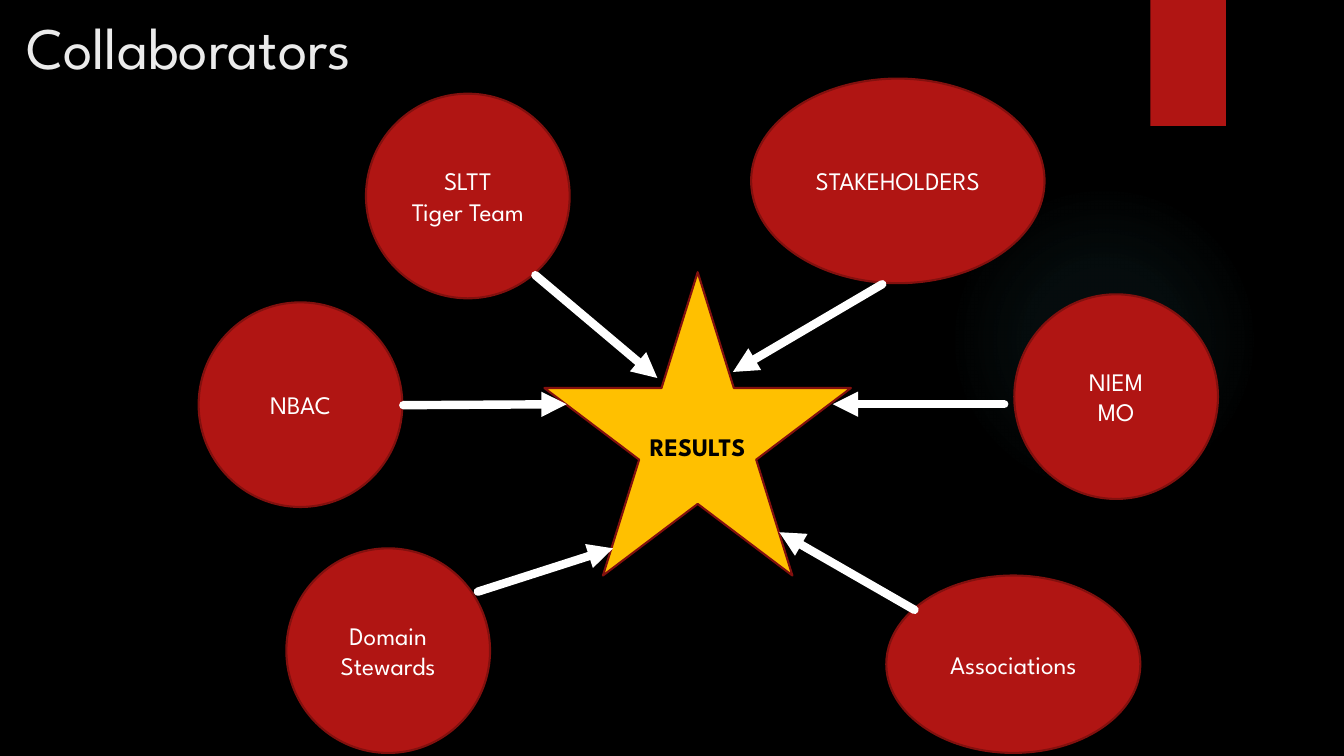
import pptx
import pptx.util
import pptx.dml.color
import pptx.enum.shapes
import pptx.enum.text
import pptx.oxml
import pptx.oxml.ns

Inches = pptx.util.Inches
Pt = pptx.util.Pt
RGBColor = pptx.dml.color.RGBColor
Kind = pptx.enum.shapes.MSO_SHAPE
Align = pptx.enum.text.PP_ALIGN
Anchor = pptx.enum.text.MSO_ANCHOR

BLACK = RGBColor(0x00, 0x00, 0x00)
WHITE = RGBColor(0xFF, 0xFF, 0xFF)
PALE = RGBColor(0xEB, 0xEB, 0xEB)
RED = RGBColor(0xB0, 0x15, 0x13)
DARK = RGBColor(0x82, 0x10, 0x0E)
GOLD = RGBColor(0xFF, 0xC0, 0x00)
TEAL = RGBColor(0x50, 0xB9, 0xC1)
FONT = "League Spartan"


def markup(xml):
    """Turn a drawing XML string into an element, adding the namespace."""
    head, rest = xml.split(">", 1)
    return pptx.oxml.parse_xml(f"{head} {pptx.oxml.ns.nsdecls('a')}>{rest}")


class Board:
    def __init__(self, slide):
        self.shapes = slide.shapes
        fill = slide.background.fill
        fill.solid()
        fill.fore_color.rgb = BLACK

    def label(self, frame, text, size, color, align, bold=False):
        frame.word_wrap = True
        frame.text = text
        for para in frame.paragraphs:
            para.alignment = align
            for run in para.runs:
                font = run.font
                font.name = FONT
                font.size = Pt(size)
                font.bold = bold
                font.color.rgb = color

    def title(self, text, *box):
        frame = self.shapes.add_textbox(*map(Inches, box)).text_frame
        self.label(frame, text, 42, PALE, Align.LEFT)

    def plain(self, kind, box, fill):
        """Add a filled shape without outline or shadow."""
        shape = self.shapes.add_shape(kind, *map(Inches, box))
        shape.shadow.inherit = False
        shape.fill.solid()
        shape.fill.fore_color.rgb = fill
        shape.line.fill.background()
        return shape

    def glow(self, box, color, stops):
        """Add a round glow; stops are (position, opacity) in percent."""
        shape = self.plain(Kind.OVAL, box, color)
        marks = "".join(
            f'<a:gs pos="{pos * 1000}"><a:srgbClr val="{color}">'
            f'<a:alpha val="{alpha * 1000}"/></a:srgbClr></a:gs>'
            for pos, alpha in stops)
        grad = markup(
            f'<a:gradFill><a:gsLst>{marks}</a:gsLst><a:path path="circle">'
            '<a:fillToRect l="50000" t="50000" r="50000" b="50000"/>'
            '</a:path></a:gradFill>')
        props = shape._element.spPr
        old = props.find(pptx.oxml.ns.qn("a:solidFill"))
        props.replace(old, grad)

    def ribbon(self, *box):
        shape = self.plain(Kind.RECTANGLE, box, RED)
        effects = shape._element.spPr.find(pptx.oxml.ns.qn("a:effectLst"))
        effects.append(markup(
            '<a:outerShdw blurRad="38100" dist="25400" dir="5400000" rotWithShape="0">'
            '<a:srgbClr val="000000"><a:alpha val="45000"/></a:srgbClr>'
            '</a:outerShdw>'))

    def node(self, text, box, kind=Kind.OVAL, fill=RED, color=WHITE, bold=False):
        shape = self.plain(kind, box, fill)
        shape.line.color.rgb = DARK
        shape.line.width = Pt(1.5)
        frame = shape.text_frame
        frame.vertical_anchor = Anchor.MIDDLE
        self.label(frame, text, 18, color, Align.CENTER, bold)

    def arrow(self, *ends):
        link = self.shapes.add_connector(
            pptx.enum.shapes.MSO_CONNECTOR.STRAIGHT, *map(Inches, ends))
        link.line.color.rgb = WHITE
        link.line.width = Pt(6)
        props = link._element.spPr
        stroke = props.find(pptx.oxml.ns.qn("a:ln"))
        stroke.set("cap", "rnd")
        stroke.append(markup('<a:round></a:round>'))
        stroke.append(markup('<a:tailEnd type="triangle"></a:tailEnd>'))
        props.append(markup('<a:effectLst></a:effectLst>'))


def main():
    deck = pptx.Presentation()
    deck.slide_width = Inches(13.33)
    deck.slide_height = Inches(7.5)
    board = Board(deck.slides.add_slide(deck.slide_layouts[6]))

    board.glow((9.41, 1.83, 3.08, 3.08), TEAL, [(0, 7), (36, 6), (69, 0)])
    board.ribbon(11.41, 0, 0.75, 1.25)
    board.title("Collaborators", 0.16, 0.06, 10.29, 1.53)

    disc = (2.02, 2.03)
    groups = [
        ("Domain\nStewards", (2.84, 5.44), disc),
        ("Associations", (8.79, 5.71), (2.52, 1.76)),
        ("NBAC", (1.97, 3), disc),
        ("NIEM\nMO", (10.06, 2.92), disc),
        ("SLTT\nTiger Team", (3.63, 0.93), disc),
        ("STAKEHOLDERS", (7.45, 0.78), (2.91, 2.03)),
    ]
    for text, place, size in groups:
        board.node(text, place + size)
    board.node("RESULTS", (5.4, 2.7, 3.04, 3.01),
               Kind.STAR_5_POINT, GOLD, BLACK, True)

    arrows = [
        (4, 4.02, 5.62, 4.01),
        (9.96, 4.01, 8.26, 4.01),
        (8.75, 2.82, 7.27, 3.69),
        (5.31, 2.73, 6.52, 3.75),
        (9.07, 6.05, 7.73, 5.28),
        (4.74, 5.87, 6.08, 5.44),
    ]
    for ends in arrows:
        board.arrow(*ends)

    deck.save("out.pptx")


if __name__ == "__main__":
    main()
